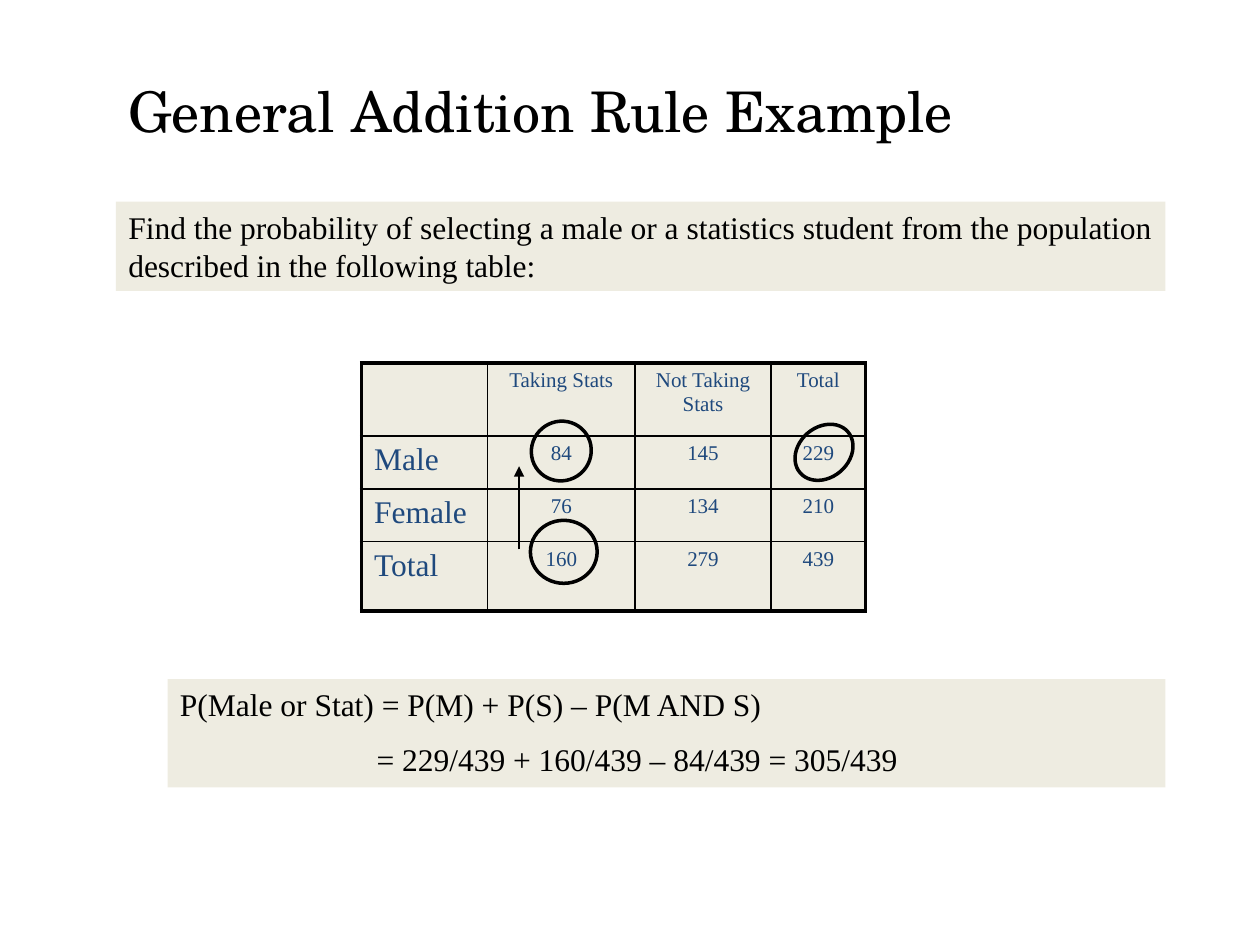
import pptx
import pptx.dml.color
import pptx.enum.shapes
import pptx.enum.text
import pptx.oxml
import pptx.oxml.ns
import pptx.util
import lxml.etree

Inches = pptx.util.Inches
Pt = pptx.util.Pt
BODY_FONT = "Times New Roman"
BLACK, BLUE, BEIGE = "000000", "1F497D", "EEECE1"


def color(hex_value):
    return pptx.dml.color.RGBColor.from_string(hex_value)


def add_text(paragraph, text, size, hex_value, font_name=BODY_FONT):
    run = paragraph.add_run()
    run.text = text
    run.font.size = Pt(size)
    run.font.name = font_name
    run.font.color.rgb = color(hex_value)


presentation = pptx.Presentation()
presentation.slide_width = Inches(10)
presentation.slide_height = Inches(7.5)
slide = presentation.slides.add_slide(presentation.slide_layouts[6])
shapes = slide.shapes

# Title
title = shapes.add_textbox(Inches(0.92), Inches(0.58), Inches(8.83), Inches(0.58))
title.text_frame.word_wrap = True
title.text_frame.vertical_anchor = pptx.enum.text.MSO_ANCHOR.MIDDLE
add_text(title.text_frame.paragraphs[0], "General Addition Rule Example", 32, BLACK,
         "TeX Gyre Schola")

# Table of counts
rows = [
    ["", "Taking Stats", "Not Taking Stats", "Total"],
    ["Male", "84", "145", "229"],
    ["Female", "76", "134", "210"],
    ["Total", "160", "279", "439"],
]
column_widths = [1, 1.17, 1.08, 0.75]
row_heights = [0.58, 0.42, 0.42, 0.55]
last_row, last_column = len(rows) - 1, len(column_widths) - 1
table = shapes.add_table(len(rows), len(column_widths), Inches(2.87), Inches(2.88),
                         Inches(sum(column_widths)), Inches(sum(row_heights))).table
table.first_row = False
table.horz_banding = False
for column, width in zip(table.columns, column_widths):
    column.width = Inches(width)
for row, height in zip(table.rows, row_heights):
    row.height = Inches(height)

for row_index, row_texts in enumerate(rows):
    for column_index, text in enumerate(row_texts):
        cell = table.cell(row_index, column_index)
        is_outer = {
            "a:lnL": column_index == 0,
            "a:lnR": column_index == last_column,
            "a:lnT": row_index == 0,
            "a:lnB": row_index == last_row,
        }
        properties = cell._tc.get_or_add_tcPr()
        for tag, outer in is_outer.items():
            border = lxml.etree.SubElement(properties, pptx.oxml.ns.qn(tag),
                                           w=str(Pt(2.25 if outer else 1)))
            fill = lxml.etree.SubElement(border, pptx.oxml.ns.qn("a:solidFill"))
            lxml.etree.SubElement(fill, pptx.oxml.ns.qn("a:srgbClr"), val=BLACK)
        cell.fill.solid()
        cell.fill.fore_color.rgb = color(BEIGE)
        paragraph = cell.text_frame.paragraphs[0]
        if column_index > 0:
            paragraph.alignment = pptx.enum.text.PP_ALIGN.CENTER
        if text:
            add_text(paragraph, text, 12 if column_index else 18, BLUE)

# Question and answer panels: left, top, width, height, (text, indent) lines
panels = [
    (0.92, 1.6, 8.33, 0.71, [
        ("Find the probability of selecting a male or a statistics student "
         "from the population described in the following table:", 0)]),
    (1.33, 5.39, 7.92, 0.86, [
        ("P(Male or Stat) = P(M) + P(S) – P(M AND S)", 0),
        ("= 229/439 + 160/439 – 84/439 = 305/439", 1.56)]),
]
for left, top, width, height, lines in panels:
    panel = shapes.add_shape(pptx.enum.shapes.MSO_SHAPE.RECTANGLE,
                             Inches(left), Inches(top), Inches(width), Inches(height))
    panel.shadow.inherit = False
    panel.fill.solid()
    panel.fill.fore_color.rgb = color(BEIGE)
    panel.line.fill.background()
    frame = panel.text_frame
    frame.word_wrap = True
    frame.vertical_anchor = pptx.enum.text.MSO_ANCHOR.TOP
    for index, (text, indent) in enumerate(lines):
        paragraph = frame.add_paragraph() if index else frame.paragraphs[0]
        paragraph.alignment = pptx.enum.text.PP_ALIGN.LEFT
        if index:
            paragraph.space_before = Pt(9.5)
        if indent:
            paragraph._p.get_or_add_pPr().set("marL", str(Inches(indent)))
        add_text(paragraph, text, 18, BLACK)

# Circles around the counts used in the rule
circles = [
    (4.22, 3.34, 0.47, 0.48, 49.4),
    (4.21, 4.13, 0.53, 0.5, 0),
    (6.34, 3.34, 0.4, 0.5, 49.4),
]
for left, top, width, height, rotation in circles:
    circle = shapes.add_shape(pptx.enum.shapes.MSO_SHAPE.OVAL,
                              Inches(left), Inches(top), Inches(width), Inches(height))
    circle.shadow.inherit = False
    circle.rotation = rotation
    circle.fill.background()
    circle.line.color.rgb = color(BLACK)
    circle.line.width = Pt(2)

# Arrow from the column total up to the overlap
arrow = shapes.add_connector(pptx.enum.shapes.MSO_CONNECTOR.STRAIGHT,
                             Inches(4.12), Inches(4.36), Inches(4.12), Inches(3.7))
arrow.line.color.rgb = color(BLACK)
arrow.line.width = Pt(0.75)
lxml.etree.SubElement(arrow.line._get_or_add_ln(), pptx.oxml.ns.qn("a:tailEnd"),
                      type="triangle")
lxml.etree.SubElement(arrow._element.spPr, pptx.oxml.ns.qn("a:effectLst"))

presentation.save("out.pptx")
